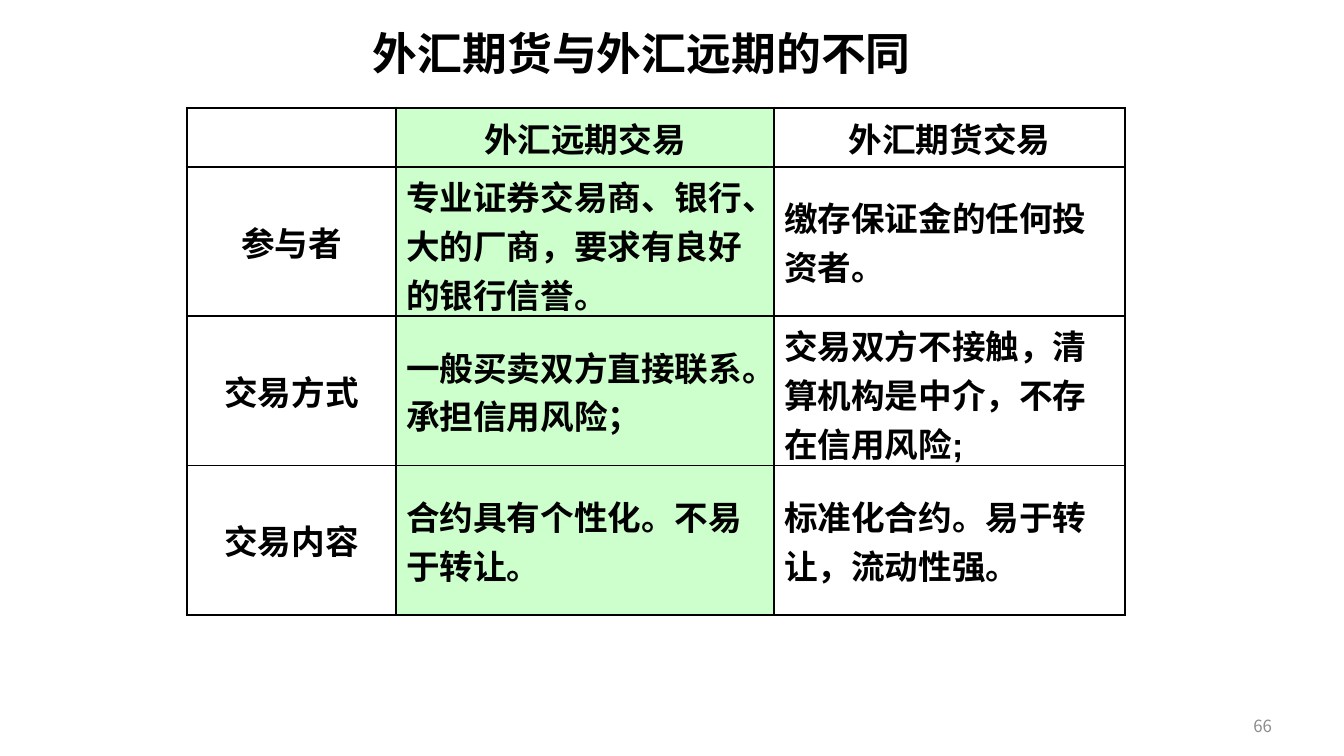
from lxml import etree
from pptx import Presentation
from pptx.dml.color import RGBColor
from pptx.enum.text import MSO_ANCHOR, MSO_AUTO_SIZE, PP_ALIGN
from pptx.oxml.ns import qn
from pptx.util import Pt

LEFT, CENTER, RIGHT = PP_ALIGN.LEFT, PP_ALIGN.CENTER, PP_ALIGN.RIGHT
TOP, MIDDLE = MSO_ANCHOR.TOP, MSO_ANCHOR.MIDDLE
FIT_SHAPE = MSO_AUTO_SIZE.SHAPE_TO_FIT_TEXT

SCALE = 914400 / 100.8
CJK = "Noto Sans CJK SC"
BLACK, GRAY, WHITE, GREEN = "000000", "8C8C8C", "FFFFFF", "CCFFCC"

COLUMNS = [209, 378, 351]
ROWS = [59, 149, 150, 149]
FILLS = [None, GREEN, WHITE]
COMPARISON = [
    ["", "外汇远期交易", "外汇期货交易"],
    ["参与者", "专业证券交易商、银行、大的厂商，要求有良好的银行信誉。",
     "缴存保证金的任何投资者。"],
    ["交易方式", "一般买卖双方直接联系。承担信用风险；",
     "交易双方不接触，清算机构是中介，不存在信用风险;"],
    ["交易内容", "合约具有个性化。不易于转让。", "标准化合约。易于转让，流动性强。"],
]


def px(n):
    return round(n * SCALE)


def color(value):
    return RGBColor.from_string(value)


class SlideBuilder:
    def __init__(self, prs):
        self.s = prs.slides.add_slide(prs.slide_layouts[6])

    def style(self, p, size, font, fill, bold, align):
        p.alignment = align
        for r in p.runs:
            r.font.size = Pt(size)
            r.font.name = font
            r.font.bold = bold
            r.font.color.rgb = color(fill)
            ea = etree.SubElement(r.font._element, qn("a:ea"))
            ea.set("typeface", CJK)

    def text(self, box, text, size, fill, bold=False, align=LEFT, anchor=TOP):
        sp = self.s.shapes.add_textbox(*map(px, box))
        tf = sp.text_frame
        tf.text = text
        tf.word_wrap = True
        tf.vertical_anchor = anchor
        self.style(tf.paragraphs[0], size, CJK, fill, bold, align)
        return sp

    def border(self, cell, side, width):
        tc_pr = cell._tc.get_or_add_tcPr()
        ln = etree.SubElement(tc_pr, qn(f"a:ln{side}"), w=str(Pt(width)))
        solid = etree.SubElement(ln, qn("a:solidFill"))
        etree.SubElement(solid, qn("a:srgbClr"), val=BLACK)

    def cell(self, cell, text, fill, align, outer):
        cell.text = text
        cell.vertical_anchor = MIDDLE
        p = cell.text_frame.paragraphs[0]
        self.style(p, 24, "Arial", BLACK, True, align)
        before = etree.SubElement(p._p.get_or_add_pPr(), qn("a:spcBef"))
        etree.SubElement(before, qn("a:spcPct"), val="20000")
        for side in "LRTB":
            self.border(cell, side, 2.25 if side in outer else 1)
        if fill:
            cell.fill.solid()
            cell.fill.fore_color.rgb = color(fill)
        else:
            cell.fill.background()

    def table(self, left, top, columns, rows, data, fills):
        box = left, top, sum(columns), sum(rows)
        table = self.s.shapes.add_table(len(rows), len(columns), *map(px, box)).table
        table.first_row = False
        table.horz_banding = False
        for column, width in zip(table.columns, columns):
            column.width = px(width)
        for row, height in zip(table.rows, rows):
            row.height = px(height)
        last_row, last_column = len(rows) - 1, len(columns) - 1
        for i, texts in enumerate(data):
            for j, text in enumerate(texts):
                edges = {"L": j == 0, "R": j == last_column,
                         "T": i == 0, "B": i == last_row}
                outer = [side for side, on_edge in edges.items() if on_edge]
                align = CENTER if i == 0 or j == 0 else LEFT
                self.cell(table.cell(i, j), text, fills[j], align, outer)


def main():
    prs = Presentation()
    prs.slide_width, prs.slide_height = px(1344), px(756)
    slide = SlideBuilder(prs)
    slide.text((1032, 696, 250, 60), "66", 12, GRAY, align=RIGHT, anchor=MIDDLE)
    slide.table(187, 108, COLUMNS, ROWS, COMPARISON, FILLS)
    title = slide.text((363, 21, 580, 64), "外汇期货与外汇远期的不同", 32, BLACK, bold=True)
    title.text_frame.auto_size = FIT_SHAPE
    prs.save("out.pptx")


if __name__ == "__main__":
    main()
